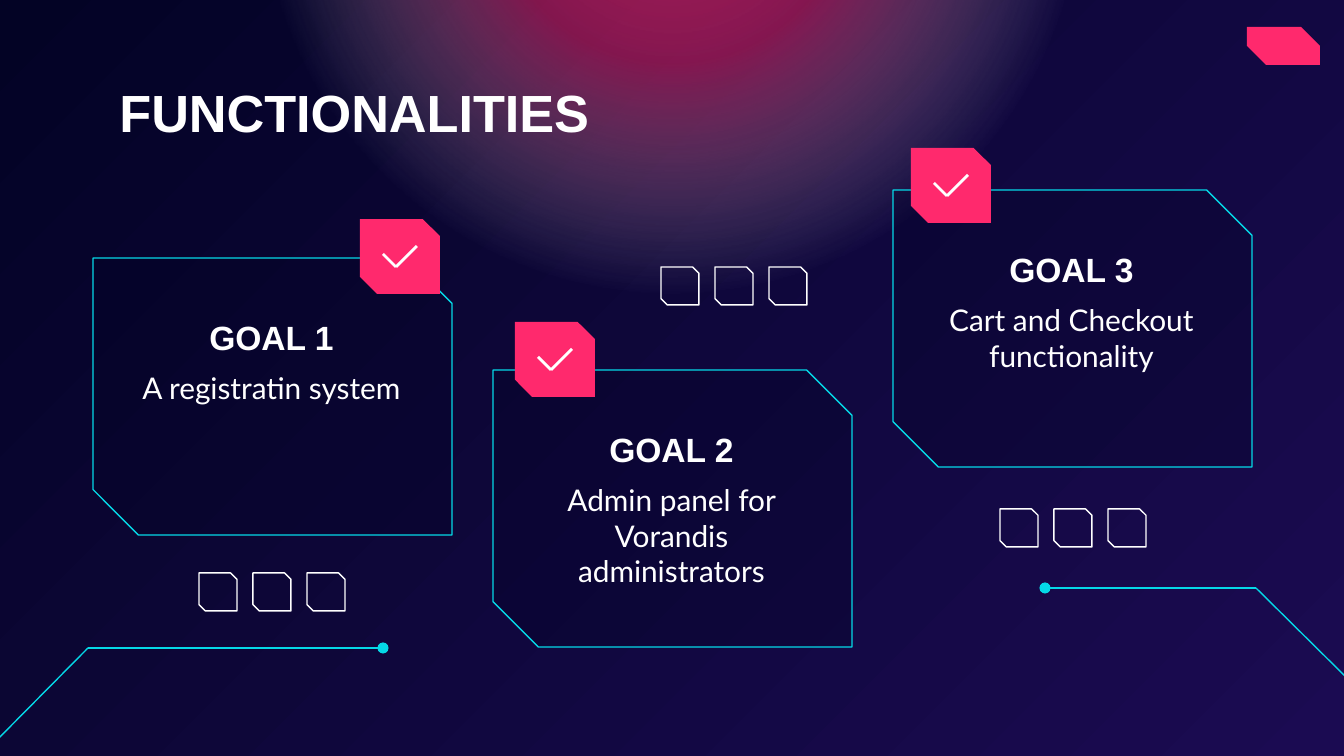
from pptx import Presentation
from pptx.dml.color import RGBColor
from pptx.enum.shapes import MSO_CONNECTOR, MSO_SHAPE
from pptx.enum.text import MSO_ANCHOR, MSO_AUTO_SIZE, PP_ALIGN
from pptx.oxml import parse_xml
from pptx.oxml.ns import nsdecls, qn
from pptx.util import Pt

SNIP = MSO_SHAPE.SNIP_2_DIAG_RECTANGLE
OVAL = MSO_SHAPE.OVAL
LINE = MSO_CONNECTOR.STRAIGHT
TOP, MIDDLE, BOTTOM = MSO_ANCHOR.TOP, MSO_ANCHOR.MIDDLE, MSO_ANCHOR.BOTTOM
LEFT, CENTER = PP_ALIGN.LEFT, PP_ALIGN.CENTER

NAVY = RGBColor(0x03, 0x03, 0x25)
PURPLE = RGBColor(0x1B, 0x0B, 0x52)
PINK = RGBColor(0xFF, 0x29, 0x6D)
CYAN = RGBColor(0x05, 0xD8, 0xE7)
WHITE = RGBColor(0xFF, 0xFF, 0xFF)

WIDTH, HEIGHT = 1344, 756
SCALE = 9144000 / WIDTH

# Glow stops: position, colour, opacity (percent)
GLOW = [(0, PINK, 67), (30, PINK, 49), (69, WHITE, 0), (100, WHITE, 0)]

# Card left, top, badge offset, heading, body
CARDS = [
    (93, 258, (267, -39), "GOAL 1", "A registratin system"),
    (493, 370, (22, -48), "GOAL 2", "Admin panel for Vorandis administrators"),
    (893, 190, (18, -42), "GOAL 3", "Cart and Checkout functionality"),
]
TRIOS = [(661, 267), (199, 573), (1000, 509)]
TRACES = [
    [(1350, 681), (1256, 588), (1045, 588)],
    [(-5, 742), (88, 648), (383, 648)],
]


def px(*vals):
    return [round(v * SCALE) for v in vals]


def add_shape(slide, kind, box, fill=None, line=None, snip=None):
    shape = slide.shapes.add_shape(kind, *px(*box))
    shape.shadow.inherit = False
    if snip is not None:
        shape.adjustments[0] = 0
        shape.adjustments[1] = snip
    if fill is None:
        shape.fill.background()
    else:
        shape.fill.solid()
        shape.fill.fore_color.rgb = fill
    if line is None:
        shape.line.fill.background()
    else:
        shape.line.color.rgb = line
        shape.line.width = Pt(0.75)
    return shape


def add_line(slide, start, end, color, width, dot=False):
    line = slide.shapes.add_connector(LINE, *px(*start, *end))
    line.line.color.rgb = color
    line.line.width = Pt(width)
    props = line.element.spPr
    if dot:
        tail = parse_xml(f'<a:tailEnd {nsdecls("a")} type="oval"/>')
        props.find(qn("a:ln")).append(tail)
    props.append(parse_xml(f'<a:effectLst {nsdecls("a")}/>'))


def set_text(shape, text, size, font, bold, align, anchor):
    frame = shape.text_frame
    frame.text = text
    frame.word_wrap = True
    frame.auto_size = MSO_AUTO_SIZE.NONE
    frame.vertical_anchor = anchor
    inset = Pt(7.2)
    frame.margin_left = frame.margin_right = inset
    frame.margin_top = frame.margin_bottom = inset
    para = frame.paragraphs[0]
    para.alignment = align
    face = para.runs[0].font
    face.size, face.name, face.bold = Pt(size), font, bold
    face.color.rgb = WHITE


def add_back(slide):
    # Diagonal gradient
    fill = slide.background.fill
    fill.gradient()
    fill.gradient_angle = 315
    for stop, color in zip(fill.gradient_stops, (NAVY, PURPLE)):
        stop.color.rgb = color
    # Round glow
    glow = add_shape(slide, OVAL, (252, -535, 840, 840))
    stops = "".join(
        f'<a:gs pos="{pos * 1000}"><a:srgbClr val="{color}">'
        f'<a:alpha val="{alpha * 1000}"/></a:srgbClr></a:gs>'
        for pos, color, alpha in GLOW
    )
    grad = parse_xml(
        f'<a:gradFill {nsdecls("a")}><a:gsLst>{stops}</a:gsLst><a:path path="circle">'
        '<a:fillToRect l="50000" t="50000" r="50000" b="50000"/></a:path></a:gradFill>'
    )
    props = glow.element.spPr
    props.replace(props.find(qn("a:noFill")), grad)
    # Corner tag
    add_shape(slide, SNIP, (1247, 27, 73, 38), PINK, snip=0.5)


def add_title(slide, box):
    title = slide.shapes.title
    title.left, title.top, title.width, title.height = px(*box)
    set_text(title, "FUNCTIONALITIES", 28, "Arial", True, LEFT, BOTTOM)
    # Bring the title in front of the glow
    slide.shapes.element.append(title.element)


def add_badge(slide, x, y):
    add_shape(slide, SNIP, (x, y, 80, 75), PINK, snip=0.23)
    low = (x + 36, y + 48)
    add_line(slide, (x + 23, y + 35), low, WHITE, 1.5)
    add_line(slide, low, (x + 57, y + 27), WHITE, 1.5)


def add_card(slide, x, y, badge, head, body):
    card = add_shape(slide, SNIP, (x, y, 359, 277), NAVY, CYAN, 0.164)
    color = card.element.spPr.find(qn("a:solidFill"))[0]
    color.append(parse_xml(f'<a:alpha {nsdecls("a")} val="31000"/>'))
    rows = [
        (head, 46, 67, 18, "Arial", True, MIDDLE),
        (body, 98, 136, 16, "Lato", False, TOP),
    ]
    for text, down, high, size, font, bold, anchor in rows:
        box = slide.shapes.add_textbox(*px(x + 12, y + down, 333, high))
        set_text(box, text, size, font, bold, CENTER, anchor)
        box.text_frame.paragraphs[0].space_after = Pt(12)
    add_badge(slide, x + badge[0], y + badge[1])


def add_trio(slide, x, y):
    for i in range(3):
        add_shape(slide, SNIP, (x + 54 * i, y, 38, 38), line=WHITE, snip=0.167)


def add_trace(slide, start, bend, end):
    add_line(slide, start, bend, CYAN, 0.75)
    add_line(slide, bend, end, CYAN, 0.75, dot=True)


def main():
    deck = Presentation()
    deck.slide_width, deck.slide_height = px(WIDTH, HEIGHT)
    slide = deck.slides.add_slide(deck.slide_layouts[5])
    add_back(slide)
    add_title(slide, (106, 66, 1055, 90))
    for card in CARDS:
        add_card(slide, *card)
    for trio in TRIOS:
        add_trio(slide, *trio)
    for trace in TRACES:
        add_trace(slide, *trace)
    deck.save("out.pptx")


if __name__ == "__main__":
    main()
